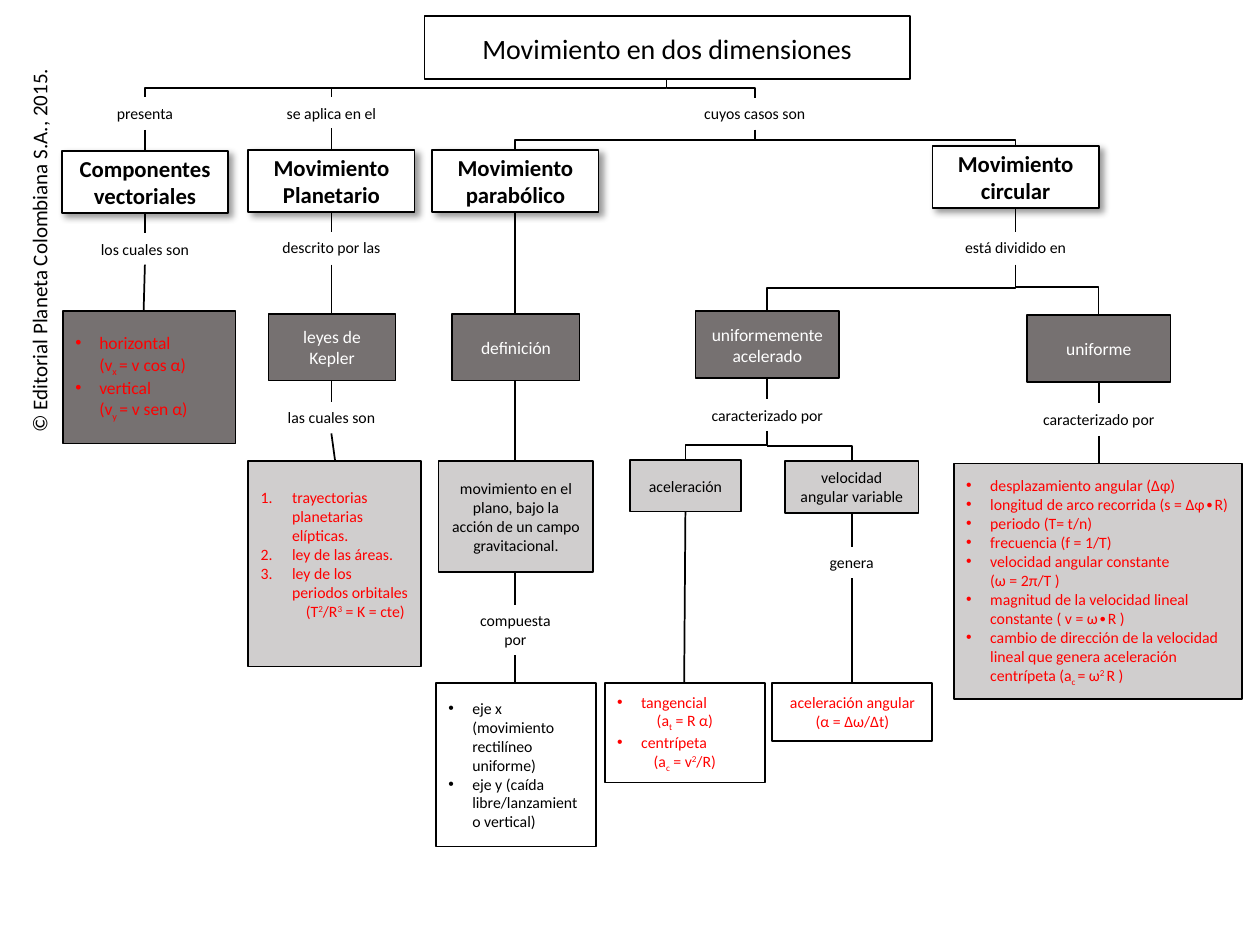
from lxml.etree import SubElement
from pptx import Presentation
from pptx.dml.color import RGBColor
from pptx.enum.shapes import MSO_CONNECTOR, MSO_SHAPE
from pptx.enum.text import MSO_ANCHOR, MSO_AUTO_SIZE, PP_ALIGN
from pptx.oxml.ns import qn
from pptx.util import Inches, Pt

BLACK, WHITE, RED = "000000", "FFFFFF", "FF0000"
DARK, LIGHT = "767171", "D0CECE"
BASELINES = {"_": "-25000", "^": "30000"}


def color(value):
    return RGBColor.from_string(value)


def add_runs(paragraph, text, size, font_color, bold=False):
    for part in text.split("|"):
        run = paragraph.add_run()
        run.text = part.lstrip("_^")
        run.font.name = "Calibri"
        run.font.size = Pt(size)
        run.font.bold = bold
        run.font.color.rgb = color(font_color)
        if part[0] in BASELINES:
            run.font._element.set("baseline", BASELINES[part[0]])


def set_indent(paragraph, margin, hanging=0):
    properties = paragraph._p.get_or_add_pPr()
    properties.set("marL", str(Inches(margin)))
    properties.set("indent", str(-Inches(hanging)))
    return properties


def add_bullet(paragraph, numbered):
    hanging = 0.25 if numbered else 0.19
    properties = set_indent(paragraph, hanging, hanging)
    if numbered:
        SubElement(properties, qn("a:buAutoNum"), type="arabicPeriod")
    else:
        SubElement(properties, qn("a:buFont"), typeface="Arial")
        SubElement(properties, qn("a:buChar"), char="•")


def add_shadow(shape):
    effects = shape._element.spPr.find(qn("a:effectLst"))
    shadow = SubElement(effects, qn("a:outerShdw"), blurRad=str(Pt(4)), dist=str(Pt(3)),
                        dir="2700000", algn="tl", rotWithShape="0")
    tint = SubElement(shadow, qn("a:srgbClr"), val=BLACK)
    SubElement(tint, qn("a:alpha"), val="40000")


def add_box(slide, left, top, width, height, fill):
    shape = slide.shapes.add_shape(MSO_SHAPE.RECTANGLE, Inches(left), Inches(top),
                                   Inches(width), Inches(height))
    shape.shadow.inherit = False
    shape.fill.solid()
    shape.fill.fore_color.rgb = color(fill)
    shape.line.color.rgb = color(BLACK)
    shape.line.width = Pt(1)
    shape.text_frame.word_wrap = True
    shape.text_frame.vertical_anchor = MSO_ANCHOR.MIDDLE
    return shape


def add_concept(slide, text, left, top, width, height, fill=WHITE, size=9,
                font_color=BLACK, bold=False):
    shape = add_box(slide, left, top, width, height, fill)
    for index, line in enumerate(text.split("\n")):
        frame = shape.text_frame
        paragraph = frame.add_paragraph() if index else frame.paragraphs[0]
        paragraph.alignment = PP_ALIGN.CENTER
        add_runs(paragraph, line, size, font_color, bold)
    return shape


def add_list(slide, items, left, top, width, height, fill, size=9,
             font_color=RED, numbered=False):
    shape = add_box(slide, left, top, width, height, fill)
    frame = shape.text_frame
    for index, (text, follow_up, margin) in enumerate(items):
        paragraph = frame.add_paragraph() if index else frame.paragraphs[0]
        paragraph.alignment = PP_ALIGN.LEFT
        add_bullet(paragraph, numbered)
        add_runs(paragraph, text, size, font_color)
        if follow_up:
            paragraph = frame.add_paragraph()
            if margin:
                set_indent(paragraph, margin)
                paragraph.alignment = PP_ALIGN.LEFT
            else:
                paragraph.alignment = PP_ALIGN.CENTER
            add_runs(paragraph, follow_up, size, font_color)
    return shape


def add_label(slide, text, center, top, width=1.06, height=0.25):
    box = slide.shapes.add_textbox(Inches(center - width / 2), Inches(top),
                                   Inches(width), Inches(height))
    box.text_frame.word_wrap = True
    paragraph = box.text_frame.paragraphs[0]
    paragraph.alignment = PP_ALIGN.CENTER
    add_runs(paragraph, text, 9, BLACK)


def add_line(slide, x1, y1, x2, y2, kind=MSO_CONNECTOR.STRAIGHT):
    connector = slide.shapes.add_connector(kind, Inches(x1), Inches(y1), Inches(x2), Inches(y2))
    connector.line.color.rgb = color(BLACK)
    connector.line.width = Pt(1)
    SubElement(connector._element.spPr, qn("a:effectLst"))
    return connector


def add_corner(slide, x1, y1, x2, y2):
    connector = add_line(slide, x1, y1, x2, y2, MSO_CONNECTOR.ELBOW)
    connector._element.spPr.find(qn("a:prstGeom")).set("prst", "bentConnector2")


def add_branch(slide, x1, y1, x2, y2):
    center_x, center_y = (x1 + x2) / 2, (y1 + y2) / 2
    half_width, half_height = (y2 - y1) / 2, (x1 - x2) / 2
    connector = add_line(slide, center_x - half_width, center_y - half_height,
                         center_x + half_width, center_y + half_height, MSO_CONNECTOR.ELBOW)
    connector._element.spPr.find(qn("a:xfrm")).set("rot", "5400000")


def add_copyright(slide, text):
    box = slide.shapes.add_textbox(Inches(-1.25), Inches(1.82), Inches(3.12), Inches(0.3))
    box.rotation = 270
    box.text_frame.word_wrap = False
    box.text_frame.auto_size = MSO_AUTO_SIZE.SHAPE_TO_FIT_TEXT
    add_runs(box.text_frame.paragraphs[0], text, 12, BLACK)


def add_connections(slide):
    for x1, y1, x2, y2 in [
        (1.15, 1.03, 1.15, 1.2), (1.15, 1.69, 1.15, 1.85), (1.15, 2.1, 1.14, 2.47),
        (2.63, 0.7, 2.63, 0.77), (2.63, 1.02, 2.63, 1.19), (2.63, 1.68, 2.63, 1.84),
        (2.63, 2.1, 2.63, 2.49), (2.63, 3.02, 2.63, 3.19), (2.63, 3.44, 2.66, 3.66),
        (4.09, 1.68, 4.09, 2.49), (4.09, 3.02, 4.09, 3.66), (4.09, 4.55, 4.09, 4.8),
        (4.09, 5.2, 4.09, 5.42), (8.06, 1.65, 8.06, 1.84), (6.09, 3, 6.09, 3.17),
        (5.44, 4.06, 5.43, 5.42), (6.76, 4.08, 6.76, 4.34), (6.76, 4.59, 6.76, 5.42),
        (8.72, 3.03, 8.72, 3.2), (8.72, 3.46, 8.72, 3.68),
    ]:
        add_line(slide, x1, y1, x2, y2)
    for x1, y1, x2, y2 in [(5.29, 0.63, 1.15, 0.77), (5.99, 1.03, 4.09, 1.19),
                           (8.06, 2.1, 6.09, 2.47), (6.09, 3.42, 5.44, 3.65)]:
        add_branch(slide, x1, y1, x2, y2)
    for x1, y1, x2, y2 in [(5.29, 0.7, 5.99, 0.78), (5.99, 1.11, 8.06, 1.16),
                           (6.09, 3.54, 6.76, 3.66), (8.06, 2.28, 8.72, 2.5)]:
        add_corner(slide, x1, y1, x2, y2)


def add_labels(slide):
    for text, center, top in [
        ("presenta", 1.15, 0.77), ("se aplica en el", 2.63, 0.77),
        ("cuyos casos son", 5.99, 0.77), ("los cuales son", 1.15, 1.85),
        ("descrito por las", 2.63, 1.84), ("está dividido en", 8.06, 1.84),
        ("las cuales son", 2.63, 3.19), ("genera", 6.76, 4.34),
    ]:
        add_label(slide, text, center, top)
    for center, top in [(6.09, 3.17), (8.72, 3.2)]:
        add_label(slide, "caracterizado por", center, top, 1.16)
    add_label(slide, "compuesta por", 4.09, 4.8, 0.93, 0.4)


def add_concepts(slide):
    add_concept(slide, "Movimiento en dos dimensiones", 3.37, 0.13, 3.85, 0.5, size=16)
    for text, left, top in [("Componentes vectoriales", 0.49, 1.2),
                            ("Movimiento Planetario", 1.97, 1.19),
                            ("Movimiento parabólico", 3.43, 1.19),
                            ("Movimiento circular", 7.4, 1.16)]:
        add_shadow(add_concept(slide, text, left, top, 1.32, 0.49, size=13, bold=True))
    for text, left, top, width in [("leyes de Kepler", 2.13, 2.49, 1.01),
                                   ("definición", 3.59, 2.49, 1.01),
                                   ("uniformemente acelerado", 5.52, 2.47, 1.14),
                                   ("uniforme", 8.15, 2.5, 1.14)]:
        add_concept(slide, text, left, top, width, 0.53, DARK, 10, WHITE)
    add_concept(slide, "movimiento en el plano, bajo la acción de un campo gravitacional.",
                3.48, 3.66, 1.23, 0.88, LIGHT)
    add_concept(slide, "aceleración", 5, 3.65, 0.88, 0.41, LIGHT)
    add_concept(slide, "velocidad angular variable", 6.23, 3.66, 1.06, 0.41, LIGHT)
    add_concept(slide, "aceleración angular\n(α = ∆ω/∆t)", 6.13, 5.42, 1.27, 0.46,
                font_color=RED)


def add_lists(slide):
    add_list(slide, [("horizontal", "(v|_x |= v cos α)", 0.19),
                     ("vertical", "(v|_y |= v sen α)", 0.19)], 0.5, 2.47, 1.37, 1.05, DARK, 10)
    laws = add_list(slide, [("trayectorias planetarias elípticas.", "", 0),
                            ("ley de las áreas.", "", 0),
                            ("ley de los periodos orbitales", "(T|^2|/R|^3| = K = cte)", 0.36)],
                    1.97, 3.66, 1.37, 1.63, LIGHT, numbered=True)
    laws.text_frame.margin_bottom = Inches(0.2)
    add_list(slide, [("eje x (movimiento rectilíneo uniforme)", "", 0),
                     ("eje y (caída libre/lanzamiento vertical)", "", 0)],
             3.46, 5.42, 1.27, 1.3, WHITE, font_color=BLACK)
    add_list(slide, [("tangencial", "(a|_t| = R α)", 0), ("centrípeta", "(a|_c| = v|^2|/R)", 0)],
             4.8, 5.42, 1.27, 0.79, WHITE)
    add_list(slide, [("desplazamiento angular (∆φ)", "", 0),
                     ("longitud de arco recorrida (s = ∆φ∙R)", "", 0),
                     ("periodo (T= t/n)", "", 0), ("frecuencia (f = 1/T)", "", 0),
                     ("velocidad angular constante", "(ω = 2π/T )", 0.19),
                     ("magnitud de la velocidad lineal constante ( v = ω∙R )", "", 0),
                     ("cambio de dirección de la velocidad lineal que genera aceleración "
                      "centrípeta (a|_c |= ω|^2 |R )", "", 0)], 7.57, 3.68, 2.29, 1.87, LIGHT)


def main():
    presentation = Presentation()
    presentation.slide_width, presentation.slide_height = Inches(10), Inches(7.5)
    slide = presentation.slides.add_slide(presentation.slide_layouts[6])
    add_copyright(slide, "© Editorial Planeta Colombiana S.A., 2015.")
    add_connections(slide)
    add_labels(slide)
    add_concepts(slide)
    add_lists(slide)
    presentation.save("out.pptx")


if __name__ == "__main__":
    main()
